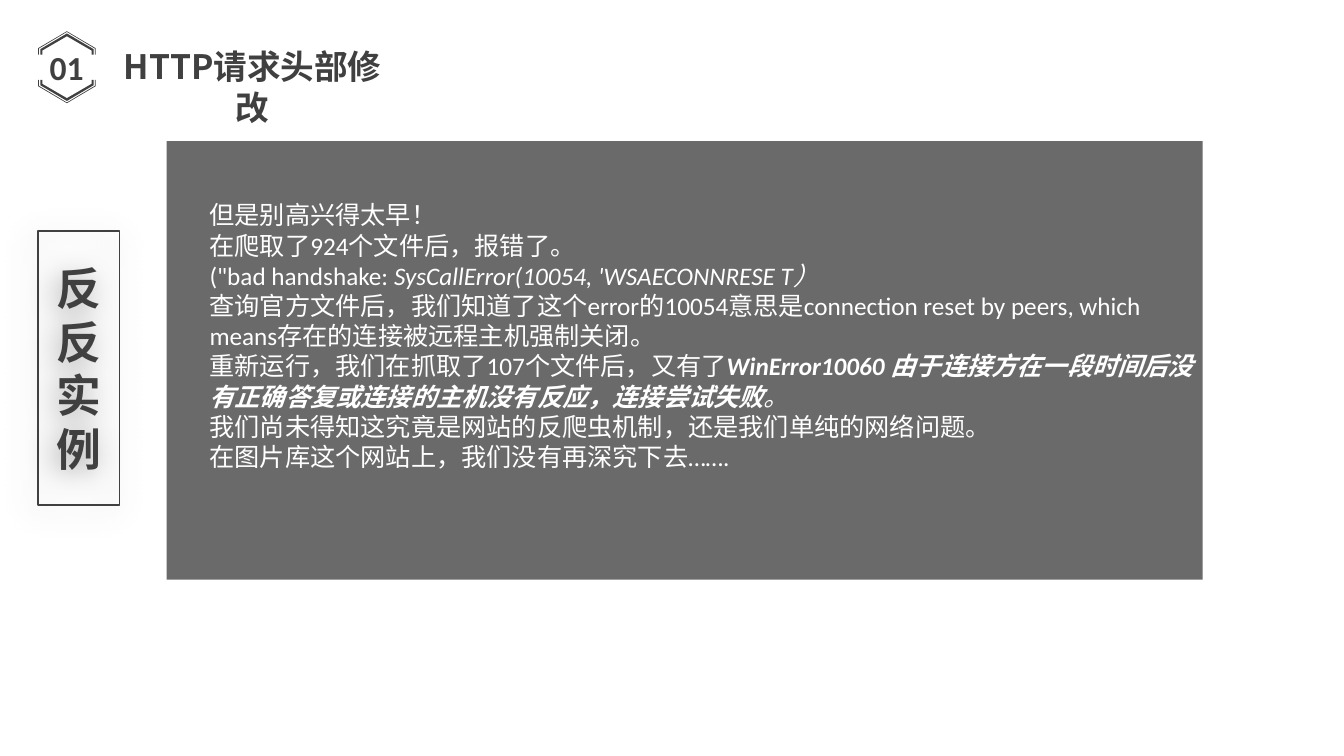
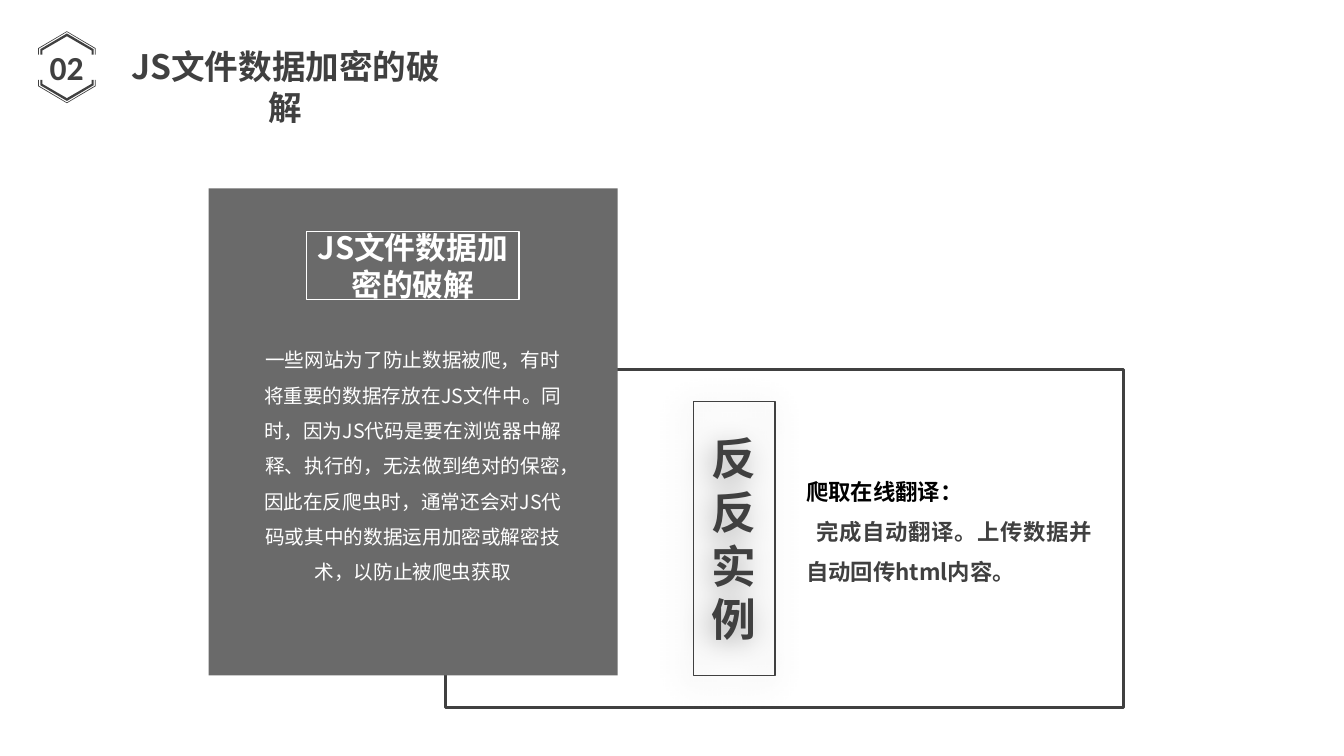
from dataclasses import dataclass
from lxml import etree
from pptx import Presentation
from pptx.dml.color import RGBColor
from pptx.enum.shapes import MSO_SHAPE as SHAPE
from pptx.enum.text import MSO_ANCHOR as ANCHOR, PP_ALIGN as ALIGN
from pptx.oxml.ns import qn
from pptx.util import Pt


@dataclass(frozen=True)
class Theme:
    ink: str = "404040"
    panel: str = "6A6A6A"
    white: str = "FFFFFF"
    black: str = "000000"
    latin: str = "Calibri"
    cjk: str = "Noto Sans CJK SC"
    title: int = 24
    tag: int = 32
    heading: int = 22
    body: int = 18
    note: int = 16
    small: int = 14


T = Theme()


def add_rect(s, box, fill=None, line=None, weight=1):
    sp = s.shapes.add_shape(SHAPE.RECTANGLE, *map(Pt, box))
    sp.shadow.inherit = False
    if fill:
        sp.fill.solid()
        sp.fill.fore_color.rgb = RGBColor.from_string(fill)
    else:
        sp.fill.background()
    if line:
        sp.line.color.rgb = RGBColor.from_string(line)
        sp.line.width = Pt(weight)
    else:
        sp.line.fill.background()
    return sp


def add_text(s, paras, box=None, sp=None, font=T.cjk, size=T.body, color=T.ink, bold=False,
             align=ALIGN.LEFT, anchor=ANCHOR.TOP, spacing=None):
    """Each paragraph is a string or a list of (text, overrides) runs."""
    sp = sp or s.shapes.add_textbox(*map(Pt, box))
    tf = sp.text_frame
    tf.word_wrap = True
    tf.vertical_anchor = anchor
    for i, runs in enumerate(paras):
        p = tf.paragraphs[0] if i == 0 else tf.add_paragraph()
        p.alignment = align
        if spacing:
            p.line_spacing = spacing
        for text, over in [(runs, {})] if isinstance(runs, str) else runs:
            r = p.add_run()
            r.text = text
            r.font.name = font
            r.font.size = Pt(size)
            r.font.bold = over.get("bold", bold)
            r.font.italic = over.get("italic", False)
            r.font.color.rgb = RGBColor.from_string(over.get("color", color))
            ea = etree.SubElement(r._r.get_or_add_rPr(), qn("a:ea"))
            ea.set("typeface", font)
    return sp


prs = Presentation()
prs.slide_width, prs.slide_height = Pt(960), Pt(540)

# Badge rings as half profiles: (half width, height above centre)
BADGE_X, BADGE_Y = 47.8, 48
RINGS = [
    [(20.5, 9), (20.5, 13.6), (0, 25.7), (0, 25.2), (20, 13.3), (20, 9)],
    [(19, 9), (19, 12.9), (0, 24.1), (0, 22.1), (17.6, 11.9), (17.6, 9)],
]

SLIDES = [
    dict(number="01", title="HTTP请求头部修改", title_box=(70.6, 29.5, 219.6, 36), tag=(27, 165)),
    dict(number="02", title="JS文件数据加密的破解", title_box=(77, 29.5, 254.2, 36), tag=(495.4, 286.6)),
]

slides = []
for page in SLIDES:
    s = prs.slides.add_slide(prs.slide_layouts[6])
    slides.append(s)

    # Numbered badge
    add_text(s, [page["number"]], (20.2, 26.6, 54.7, 43.2), font=T.latin, size=T.title,
             bold=True, align=ALIGN.CENTER, anchor=ANCHOR.MIDDLE)
    badge = s.shapes.add_group_shape()
    for ring in RINGS:
        outer, inner = ring[:3], ring[3:]
        outline = (outer + [(-x, y) for x, y in outer[-2::-1]]
                   + [(-x, y) for x, y in inner[::-1]] + inner[1:])
        for side in (-1, 1):
            pts = [(Pt(BADGE_X + x), Pt(BADGE_Y + side * y)) for x, y in outline]
            builder = badge.shapes.build_freeform(*pts[0])
            builder.add_line_segments(pts[1:], close=True)
            sp = builder.convert_to_shape()
            sp.shadow.inherit = False
            sp.fill.solid()
            sp.fill.fore_color.rgb = RGBColor.from_string(T.ink)
            sp.line.fill.background()

    # Title
    add_text(s, [page["title"]], page["title_box"], size=T.title, bold=True, align=ALIGN.CENTER)

# Slide 1: error report panel
s = slides[0]
add_rect(s, (119, 100.8, 740, 313.2), fill=T.panel)
strong = dict(bold=True, italic=True)
add_text(s, [
    "但是别高兴得太早！",
    "在爬取了924个文件后，报错了。",
    [('("bad handshake: ', {}), ("SysCallError(10054, 'WSAECONNRESE T）", dict(italic=True))],
    "查询官方文件后，我们知道了这个error的10054意思是connection reset by peers, "
    "which means存在的连接被远程主机强制关闭。",
    [("重新运行，我们在抓取了107个文件后，又有了", {}),
     ("WinError10060 由于连接方在一段时间后没有正确答复或连接的主机没有反应，连接尝试失败", strong),
     ("。", dict(italic=True))],
    "我们尚未得知这究竟是网站的反爬虫机制，还是我们单纯的网络问题。",
    "在图片库这个网站上，我们没有再深究下去…….",
], (142.6, 139, 717, 204), font=T.latin, color=T.white)

# Slide 2: frame, panel and example
s = slides[1]
add_rect(s, (318.2, 264.2, 484.6, 241.2), line=T.ink, weight=2)
add_rect(s, (149, 134.6, 292.3, 347.8), fill=T.panel)
add_text(s, ["一些网站为了防止数据被爬，有时将重要的数据存放在JS文件中。同时，因为JS代码是要在"
             "浏览器中解释、执行的，无法做到绝对的保密，因此在反爬虫时，通常还会对JS代码或其中的"
             "数据运用加密或解密技术，以防止被爬虫获取"],
         (180, 236.9, 229.7, 185), size=T.small, color=T.white, align=ALIGN.CENTER, spacing=1.5)
heading = add_rect(s, (218.9, 165.6, 152, 48.2), line=T.white)
add_text(s, ["JS文件数据加密的破解"], sp=heading, size=T.heading, color=T.white, bold=True,
         align=ALIGN.CENTER, anchor=ANCHOR.MIDDLE)
example = add_text(s, [[("爬取在线翻译：", dict(color=T.black))],
                       "完成自动翻译。上传数据并自动回传html内容。"],
                   (568.8, 328.3, 218.2, 94.3), size=T.note, bold=True,
                   align=ALIGN.JUSTIFY, spacing=1.5)
example.text_frame.paragraphs[1]._p.get_or_add_pPr().set("indent", str(Pt(7.5)))

# Vertical tag with soft shadow
for s, page in zip(slides, SLIDES):
    sp = add_rect(s, (*page["tag"], 58.3, 195.8), line=T.ink)
    effects = sp._element.spPr.find(qn("a:effectLst"))
    shadow = etree.SubElement(effects, qn("a:outerShdw"), blurRad=str(Pt(23)), dist=str(Pt(5)),
                              dir="8100000", algn="tr", rotWithShape="0")
    tint = etree.SubElement(shadow, qn("a:srgbClr"), val=T.black)
    etree.SubElement(tint, qn("a:alpha"), val="40000")
    add_text(s, ["反反实例"], sp=sp, size=T.tag, bold=True, align=ALIGN.CENTER, anchor=ANCHOR.MIDDLE)

prs.save("out.pptx")
